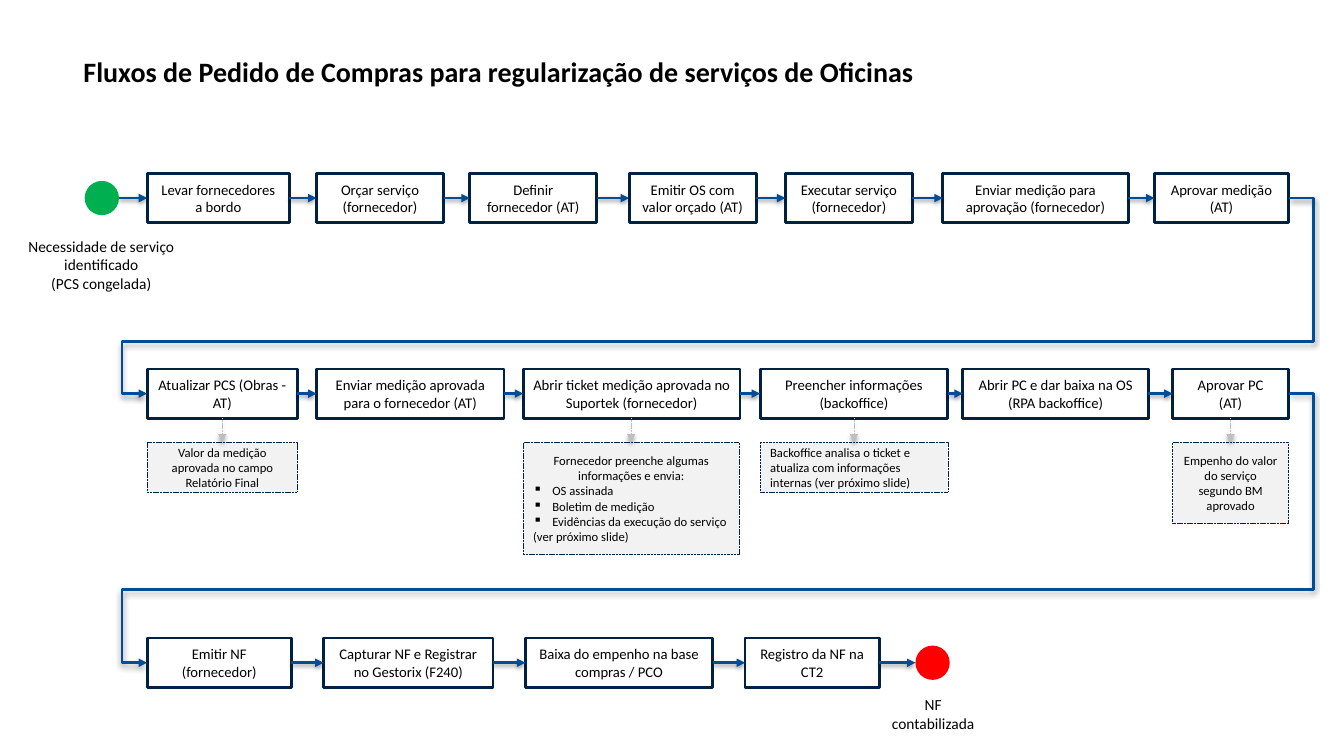
from dataclasses import dataclass

from lxml import etree
from pptx import Presentation
from pptx import util as u
from pptx.dml.color import RGBColor
from pptx.enum import dml, shapes, text
from pptx.oxml import parse_xml
from pptx.oxml.ns import nsdecls, qn


@dataclass(frozen=True)
class Theme:
    """Colours, font and type sizes of the flow."""
    font: str = "Calibri"
    ink: str = "000000"
    paper: str = "FFFFFF"
    border: str = "002142"
    flow: str = "004C97"
    note_fill: str = "F2F2F2"
    note_link: str = "BFBFBF"
    start: str = "00B050"
    end: str = "FF0000"
    title_size: float = 20
    caption_size: float = 11
    step_size: float = 10.5
    note_size: float = 9
    thick: float = 2
    thin: float = 0.25


@dataclass(frozen=True)
class Para:
    """A paragraph with its alignment and bullet."""
    words: str
    align: text.PP_ALIGN = text.PP_ALIGN.CENTER
    bullet: bool = False


LEFT = text.PP_ALIGN.LEFT
STEP_HEIGHT = 0.49
DOT = 0.34


class FlowSlide:
    """Draws flow elements on one slide in one theme."""

    def __init__(self, slide, theme):
        self.shapes = slide.shapes
        self.theme = theme

    def set_text(self, frame, paras, size, bold=False):
        """Fill a text frame with paragraphs."""
        frame.word_wrap = True
        for index, para in enumerate(paras):
            paragraph = frame.paragraphs[0] if index == 0 else frame.add_paragraph()
            paragraph.alignment = para.align
            if para.bullet:
                props = paragraph._p.get_or_add_pPr()
                indent = u.Inches(0.19)
                props.set("marL", str(indent))
                props.set("indent", str(-indent))
                etree.SubElement(props, qn("a:buChar")).set("char", "▪")
            run = paragraph.add_run()
            run.text = para.words
            run.font.name = self.theme.font
            run.font.size = u.Pt(size)
            run.font.bold = bold
            run.font.color.rgb = RGBColor.from_string(self.theme.ink)

    def label(self, left, top, width, height, paras, size, bold=False):
        """Add a free text box."""
        box = self.shapes.add_textbox(*map(u.Inches, (left, top, width, height)))
        self.set_text(box.text_frame, paras, size, bold)
        box.text_frame.auto_size = text.MSO_AUTO_SIZE.SHAPE_TO_FIT_TEXT

    def solid(self, kind, left, top, width, height, fill):
        """Add a filled shape without shadow."""
        shape = self.shapes.add_shape(kind, *map(u.Inches, (left, top, width, height)))
        shape.shadow.inherit = False
        shape.fill.solid()
        shape.fill.fore_color.rgb = RGBColor.from_string(fill)
        return shape

    def dot(self, left, middle, fill):
        """Add a start or end event."""
        event = self.solid(shapes.MSO_SHAPE.OVAL, left, middle - DOT / 2, DOT, DOT, fill)
        event.line.fill.background()

    def box(self, left, top, width, height, paras, fill, size, weight):
        """Add a bordered box with its text in the middle."""
        box = self.solid(shapes.MSO_SHAPE.RECTANGLE, left, top, width, height, fill)
        box.line.color.rgb = RGBColor.from_string(self.theme.border)
        box.line.width = u.Pt(weight)
        box.text_frame.vertical_anchor = text.MSO_ANCHOR.MIDDLE
        self.set_text(box.text_frame, paras, size)
        return box

    def arrow(self, start, end, colour, weight, kind=shapes.MSO_CONNECTOR.STRAIGHT):
        """Add a shadowed arrow."""
        arrow = self.shapes.add_connector(kind, *map(u.Inches, (*start, *end)))
        arrow.line.color.rgb = RGBColor.from_string(colour)
        arrow.line.width = u.Pt(weight)
        tip = etree.SubElement(arrow.line._get_or_add_ln(), qn("a:tailEnd"))
        tip.set("type", "triangle")
        arrow._element.spPr.append(parse_xml(
            f'<a:effectLst {nsdecls("a")}><a:outerShdw blurRad="40000" dist="20000"'
            ' dir="5400000" rotWithShape="0"><a:srgbClr val="000000">'
            '<a:alpha val="38000"/></a:srgbClr></a:outerShdw></a:effectLst>'))
        return arrow

    def flow(self, start, end):
        """Add a straight arrow between two steps."""
        self.arrow(start, end, self.theme.flow, self.theme.thick)

    def wrap(self, start, end, turn, margin=0.25):
        """Lead the flow from the end of one row to the next."""
        arrow = self.arrow(start, end, self.theme.flow, self.theme.thick,
                           shapes.MSO_CONNECTOR.ELBOW)
        overhang = margin / (start[0] - end[0])
        ratios = (-overhang, (turn - start[1]) / (end[1] - start[1]), 1 + overhang)
        geometry = arrow._element.spPr.find(qn("a:prstGeom"))
        geometry.set("prst", "bentConnector5")
        guides = geometry.find(qn("a:avLst"))
        for number, ratio in enumerate(ratios, 1):
            guide = etree.SubElement(guides, qn("a:gd"))
            guide.set("name", f"adj{number}")
            guide.set("fmla", f"val {round(ratio * 100000)}")

    def row(self, top, steps):
        """Add a row of steps joined by arrows and return its two ends."""
        middle = top + STEP_HEIGHT / 2
        previous = None
        for left, width, words in steps:
            paras = [Para(line) for line in words.split("\n")]
            self.box(left, top, width, STEP_HEIGHT, paras, self.theme.paper,
                     self.theme.step_size, self.theme.thick)
            if previous is not None:
                self.flow((previous, middle), (left, middle))
            previous = left + width
        return (steps[0][0], middle), (previous, middle)

    def note(self, left, width, height, paras, step_bottom):
        """Add a dashed note hanging below a step."""
        top = step_bottom + 0.24
        note = self.box(left, top, width, height, paras, self.theme.note_fill,
                        self.theme.note_size, self.theme.thin)
        centre = left + width / 2
        link = self.arrow((centre, step_bottom), (centre, top),
                          self.theme.note_link, self.theme.thin)
        for outline in (note.line, link.line):
            outline.dash_style = dml.MSO_LINE.SQUARE_DOT


REQUEST = [
    (1.46, 1.41, "Levar fornecedores a bordo"),
    (3.14, 1.26, "Orçar serviço (fornecedor)"),
    (4.66, 1.26, "Definir fornecedor (AT)"),
    (6.24, 1.26, "Emitir OS com valor orçado (AT)"),
    (7.79, 1.26, "Executar serviço (fornecedor)"),
    (9.35, 1.84, "Enviar medição para aprovação (fornecedor)"),
    (11.45, 1.33, "Aprovar medição (AT)"),
]
APPROVAL = [
    (1.46, 1.49, "Atualizar PCS (Obras - AT)"),
    (3.14, 1.86, "Enviar medição aprovada para o fornecedor (AT)"),
    (5.19, 2.15, "Abrir ticket medição aprovada no Suportek (fornecedor)"),
    (7.54, 1.86, "Preencher informações (backoffice)"),
    (9.55, 1.84, "Abrir PC e dar baixa na OS\n(RPA backoffice)"),
    (11.63, 1.15, "Aprovar PC\n(AT)"),
]
INVOICE = [
    (1.46, 1.43, "Emitir NF\n(fornecedor)"),
    (3.21, 1.68, "Capturar NF e Registrar no Gestorix (F240)"),
    (5.21, 1.86, "Baixa do empenho na base compras / PCO"),
    (7.39, 1.33, "Registro da NF na CT2"),
]
NOTES = [
    (1.46, 1.49, 0.49, [Para("Valor da medição aprovada no campo Relatório Final")]),
    (5.19, 2.14, 1.11, [
        Para("Fornecedor preenche algumas informações e envia:"),
        Para("OS assinada", LEFT, True),
        Para("Boletim de medição", LEFT, True),
        Para("Evidências da execução do serviço", LEFT, True),
        Para("(ver próximo slide)", LEFT)]),
    (7.54, 1.86, 0.49, [Para("Backoffice analisa o ticket e atualiza com informações "
                             "internas (ver próximo slide)", LEFT)]),
    (11.63, 1.15, 0.8, [Para("Empenho do valor do serviço segundo BM aprovado")]),
]


def main():
    """Build the purchase flow slide."""
    deck = Presentation()
    deck.slide_width, deck.slide_height = u.Inches(13.33), u.Inches(7.5)
    theme = Theme()
    page = FlowSlide(deck.slides.add_slide(deck.slide_layouts[6]), theme)
    page.label(0.73, 0.49, 10.73, 0.44, [Para(
        "Fluxos de Pedido de Compras para regularização de serviços de Oficinas",
        LEFT)], theme.title_size, True)

    request_in, request_out = page.row(1.72, REQUEST)
    approval_in, approval_out = page.row(3.66, APPROVAL)
    invoice_in, invoice_out = page.row(6.33, INVOICE)
    page.wrap(request_out, approval_in, 3.39)
    page.wrap(approval_out, invoice_in, 5.85)
    for note in NOTES:
        page.note(*note, step_bottom=3.66 + STEP_HEIGHT)

    need, booked = 0.84, 9.08
    page.dot(need, request_in[1], theme.start)
    page.flow((need + DOT, request_in[1]), request_in)
    page.label(0.18, 2.3, 1.65, 0.66, [Para("Necessidade de serviço identificado"),
                                       Para("(PCS congelada)")], theme.caption_size)
    page.dot(booked, invoice_out[1], theme.end)
    page.flow(invoice_out, (booked, invoice_out[1]))
    page.label(8.65, 6.85, 1.21, 0.47, [Para("NF contabilizada")], theme.caption_size)
    deck.save("out.pptx")


if __name__ == "__main__":
    main()
